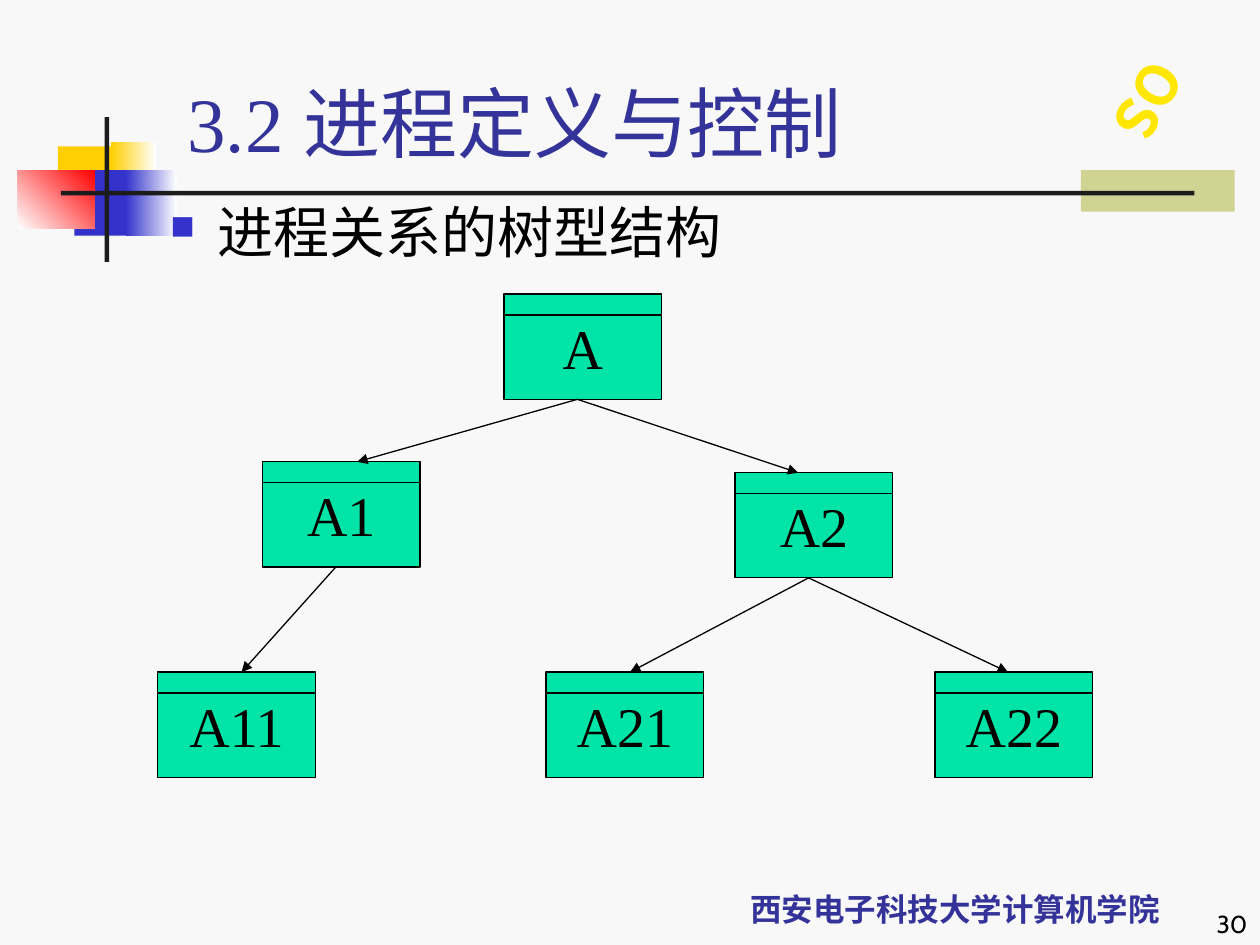
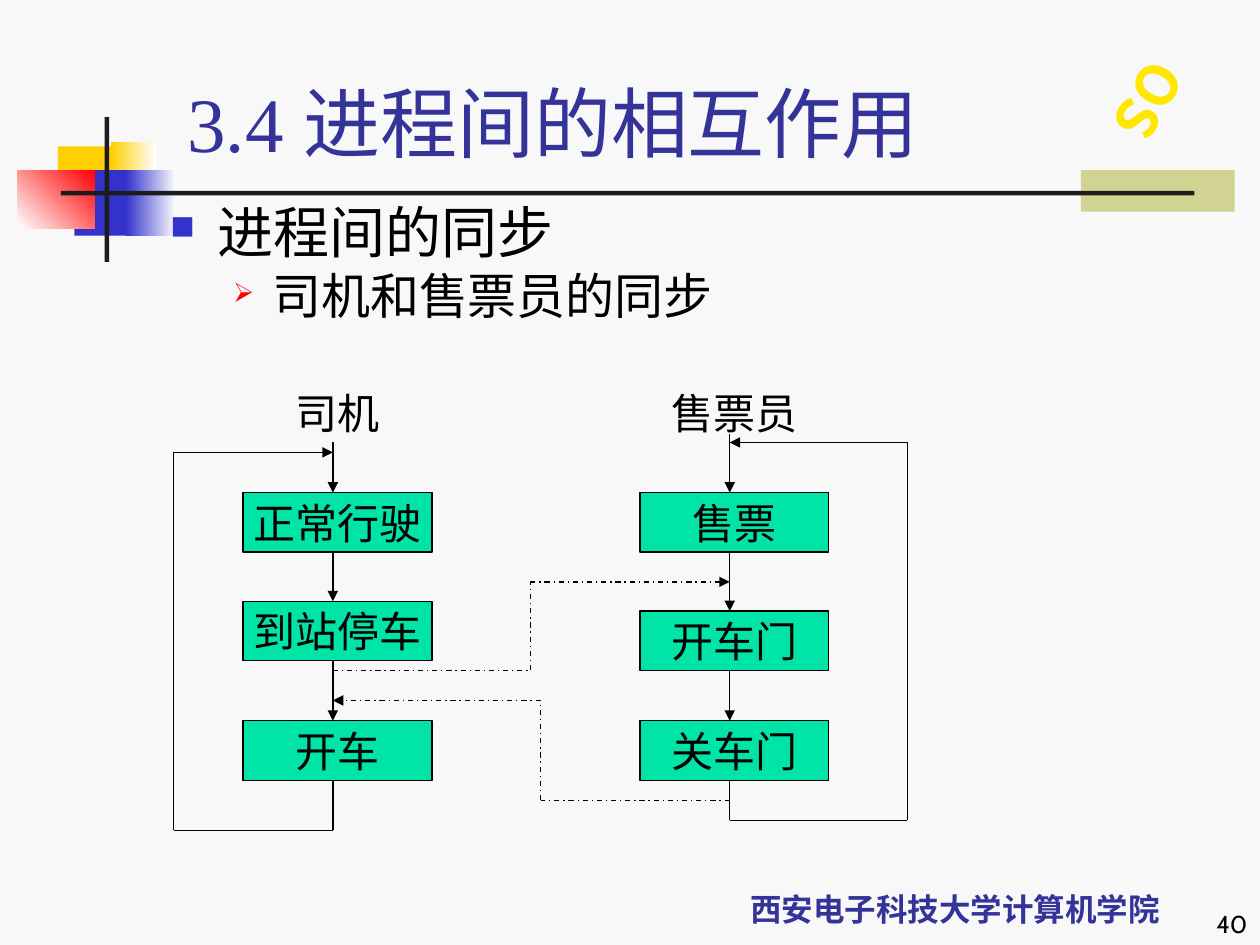
from dataclasses import dataclass
from itertools import pairwise

from lxml.etree import SubElement
from pptx import Presentation
from pptx.dml.color import RGBColor
from pptx.enum.dml import MSO_LINE
from pptx.enum.shapes import MSO_CONNECTOR, MSO_SHAPE
from pptx.enum.text import MSO_ANCHOR, PP_ALIGN
from pptx.oxml.ns import qn
from pptx.util import Cm, Pt


@dataclass(frozen=True)
class Theme:
    background: str = "F8F8F8"
    ink: str = "000000"
    title: str = "333399"
    rule: str = "1C1C1C"
    blue: str = "3333CC"
    yellow: str = "FFCF01"
    red: str = "FF0000"
    white: str = "FFFFFF"
    olive: str = "D1D393"
    badge: str = "FFE701"
    box: str = "00E4A8"
    serif: str = "Times New Roman"
    chinese: str = "Noto Sans CJK SC"
    number_font: str = "Cabin"
    title_size: int = 44
    body_size: int = 32
    sub_size: int = 28
    step_size: int = 24
    footer_size: int = 18
    number_size: int = 14
    line_width: float = 0.75


theme = Theme()


def write_text(shape, text, *, size, color=theme.ink, font=theme.serif, bold=False,
               align=PP_ALIGN.LEFT, anchor=MSO_ANCHOR.MIDDLE, wrap=True,
               bullet=None, space_before=None, line_spacing=None):
    """Add one paragraph; bullet is (character, colour, percent, margin, hanging)."""
    frame = shape.text_frame
    frame.word_wrap = wrap
    frame.vertical_anchor = anchor
    paragraph = frame.add_paragraph() if frame.text else frame.paragraphs[0]
    if bullet:
        character, bullet_color, percent, margin, hanging = bullet
        properties = paragraph._p.get_or_add_pPr()
        properties.set("marL", str(Cm(margin)))
        properties.set("indent", str(-Cm(hanging)))
        SubElement(SubElement(properties, qn("a:buClr")), qn("a:srgbClr"), val=bullet_color)
        SubElement(properties, qn("a:buSzPct"), val=str(percent * 1000))
        SubElement(properties, qn("a:buChar"), char=character)
    paragraph.alignment = align
    if space_before:
        paragraph.space_before = Pt(space_before)
    if line_spacing:
        paragraph.line_spacing = line_spacing
    run = paragraph.add_run()
    run.text = text
    run.font.size = Pt(size)
    run.font.bold = bold
    run.font.name = font
    run.font.color.rgb = RGBColor.from_string(color)
    SubElement(run._r.get_or_add_rPr(), qn("a:ea"), typeface=theme.chinese)


def add_path(slide, points, arrow=True, dash=None):
    """Join the points with straight lines, the last one with an arrowhead."""
    for start, end in pairwise(points):
        connector = slide.shapes.add_connector(
            MSO_CONNECTOR.STRAIGHT, *map(Cm, (*start, *end)))
        connector.line.width = Pt(theme.line_width)
        connector.line.color.rgb = RGBColor.from_string(theme.ink)
        if dash:
            connector.line.dash_style = dash
        properties = connector._element.spPr
        if arrow and end == points[-1]:
            SubElement(properties.find(qn("a:ln")), qn("a:tailEnd"), type="triangle")
        SubElement(properties, qn("a:effectLst"))


presentation = Presentation()
presentation.slide_width = Cm(25.4)
presentation.slide_height = Cm(19.05)
background = presentation.slide_master.background.fill
background.solid()
background.fore_color.rgb = RGBColor.from_string(theme.background)
blank_layout = presentation.slide_layouts[6]

# Shared ornament: left, top, width, height, colours, gradient angle
ornaments = [
    (21.79, 3.43, 3.1, 0.84, [theme.olive], 0),
    (1.17, 2.95, 1.22, 1.32, [theme.yellow], 0),
    (2.24, 2.87, 0.91, 1.32, [theme.yellow, theme.white], 0),
    (1.5, 3.43, 1.17, 1.32, [theme.blue], 0),
    (2.54, 3.43, 1.02, 1.32, [theme.blue, theme.white], 0),
    (0.36, 3.43, 1.55, 1.17, [theme.white, theme.red], 45),
    (2.11, 2.36, 0.09, 2.92, [theme.rule], 0),
    (1.23, 3.85, 22.85, 0.09, [theme.rule], 0),
]

# Shared frame of each slide: title, body, number
slides = []
for title, body_text, sub_text, number in [
    ("3.2 进程定义与控制", "进程关系的树型结构", None, "30"),
    ("3.4 进程间的相互作用", "进程间的同步", "司机和售票员的同步", "40"),
]:
    slide = presentation.slides.add_slide(blank_layout)
    slides.append(slide)
    for left, top, width, height, colors, angle in ornaments:
        shape = slide.shapes.add_shape(
            MSO_SHAPE.RECTANGLE, *map(Cm, (left, top, width, height)))
        shape.shadow.inherit = False
        shape.line.fill.background()
        if len(colors) == 1:
            shape.fill.solid()
            shape.fill.fore_color.rgb = RGBColor.from_string(colors[0])
        else:
            shape.fill.gradient()
            shape.fill.gradient_angle = angle
            for stop, color in zip(shape.fill.gradient_stops, colors):
                stop.color.rgb = RGBColor.from_string(color)

    # Footer and slanted badge
    footer = slide.shapes.add_textbox(Cm(13.54), Cm(17.35), Cm(11.43), Cm(1.47))
    write_text(footer, "西安电子科技大学计算机学院", size=theme.footer_size,
               color=theme.title, font=theme.chinese, bold=True,
               align=PP_ALIGN.CENTER, anchor=MSO_ANCHOR.BOTTOM)
    badge = slide.shapes.add_textbox(Cm(22.25), Cm(1.02), Cm(2.01), Cm(1.8))
    badge.rotation = 29.3
    write_text(badge, "OS", size=theme.body_size, color=theme.badge,
               font=theme.chinese, bold=True, align=PP_ALIGN.CENTER, wrap=False)
    badge.text_frame._txBody.bodyPr.set("vert", "eaVert")
    number_box = slide.shapes.add_textbox(Cm(20.12), Cm(17.78), Cm(5.28), Cm(1.27))
    write_text(number_box, number, size=theme.number_size, font=theme.number_font,
               align=PP_ALIGN.RIGHT, anchor=MSO_ANCHOR.BOTTOM)

    # Title and bullets
    title_box = slide.shapes.add_textbox(Cm(3.53), Cm(1.27), Cm(21.64), Cm(2.11))
    title_box.text_frame.margin_bottom = 0
    write_text(title_box, title, size=theme.title_size, color=theme.title,
               anchor=MSO_ANCHOR.BOTTOM)
    body = slide.shapes.add_textbox(
        Cm(3.18), Cm(4.01), Cm(21.59), Cm(3.3 if sub_text else 1.7))
    write_text(body, body_text, size=theme.body_size, anchor=MSO_ANCHOR.TOP,
               bullet=("■", theme.blue, 60, 0.95, 0.95), line_spacing=0.9)
    if sub_text:
        write_text(body, sub_text, size=theme.sub_size, anchor=MSO_ANCHOR.TOP,
                   bullet=("➢", theme.red, 55, 2.06, 0.79),
                   space_before=4, line_spacing=0.9)

tree_slide, sync_slide = slides

# Places of the tree nodes and of the two columns of steps
node_width, node_height, header_height = 3.18, 2.12, 0.42
nodes = {
    "A": (10.16, 5.93),
    "A1": (5.29, 9.31), "A2": (14.82, 9.53),
    "A11": (3.18, 13.55), "A21": (11.01, 13.55), "A22": (18.85, 13.55),
}
step_width, step_height, axis_offset = 3.81, 1.2, 1.81
driver_left, conductor_left = 4.9, 12.9
columns = [
    (driver_left, "司机", 8.92,
     {"正常行驶": 9.93, "到站停车": 12.12, "开车": 14.53}),
    (conductor_left, "售票员", 8.74,
     {"售票": 9.93, "开车门": 12.32, "关车门": 14.53}),
]

# Green boxes of both slides
boxes = [(tree_slide, name, (*place, node_width, node_height), theme.body_size)
         for name, place in nodes.items()]
boxes += [(sync_slide, name, (left, top, step_width, step_height), theme.step_size)
          for left, _, _, steps in columns for name, top in steps.items()]
for slide, name, place, size in boxes:
    box = slide.shapes.add_shape(MSO_SHAPE.RECTANGLE, *map(Cm, place))
    box.shadow.inherit = False
    box.fill.solid()
    box.fill.fore_color.rgb = RGBColor.from_string(theme.box)
    box.line.color.rgb = RGBColor.from_string(theme.ink)
    box.line.width = Pt(theme.line_width)
    write_text(box, name, size=size, align=PP_ALIGN.CENTER, wrap=False)

# Tree: header line of each node, then parent to child arrows
for left, top in nodes.values():
    header_y = top + header_height
    add_path(tree_slide, [(left, header_y), (left + node_width, header_y)], arrow=False)
for parent, child, child_offset in [
    ("A", "A1", 1.91), ("A", "A2", 1.27), ("A1", "A11", 1.69),
    ("A2", "A21", 1.69), ("A2", "A22", 1.47),
]:
    parent_left, parent_top = nodes[parent]
    child_left, child_top = nodes[child]
    add_path(tree_slide, [(parent_left + 1.48, parent_top + node_height),
                          (child_left + child_offset, child_top)])

# Synchronisation: column labels and downward arrows
for left, label, entry_top, steps in columns:
    label_box = sync_slide.shapes.add_textbox(
        *map(Cm, (left, 7.72, step_width, step_height)))
    write_text(label_box, label, size=theme.step_size,
               align=PP_ALIGN.CENTER, wrap=False)
    axis = left + axis_offset
    start_y = entry_top
    for top in steps.values():
        add_path(sync_slide, [(axis, start_y), (axis, top)])
        start_y = top + step_height

# Loops back to the first step: axis, outer side, bottom, return height
driver_axis = driver_left + axis_offset
conductor_axis = conductor_left + axis_offset
last_bottom = 14.53 + step_height
for axis, side, bottom, return_y in [
    (driver_axis, 3.5, 16.74, 9.12),
    (conductor_axis, 18.29, 16.54, 8.92),
]:
    add_path(sync_slide, [(axis, last_bottom), (axis, bottom), (side, bottom),
                          (side, return_y), (axis, return_y)])

# Dashed signals between the columns
for start_x, start_y, bend, end_x, end_y in [
    (driver_axis, 13.51, 10.69, conductor_axis, 11.73),
    (conductor_axis, 16.13, 10.9, driver_axis, 14.12),
]:
    add_path(sync_slide, [(start_x, start_y), (bend, start_y), (bend, end_y),
                          (end_x, end_y)], dash=MSO_LINE.DASH_DOT)

presentation.save("out.pptx")
